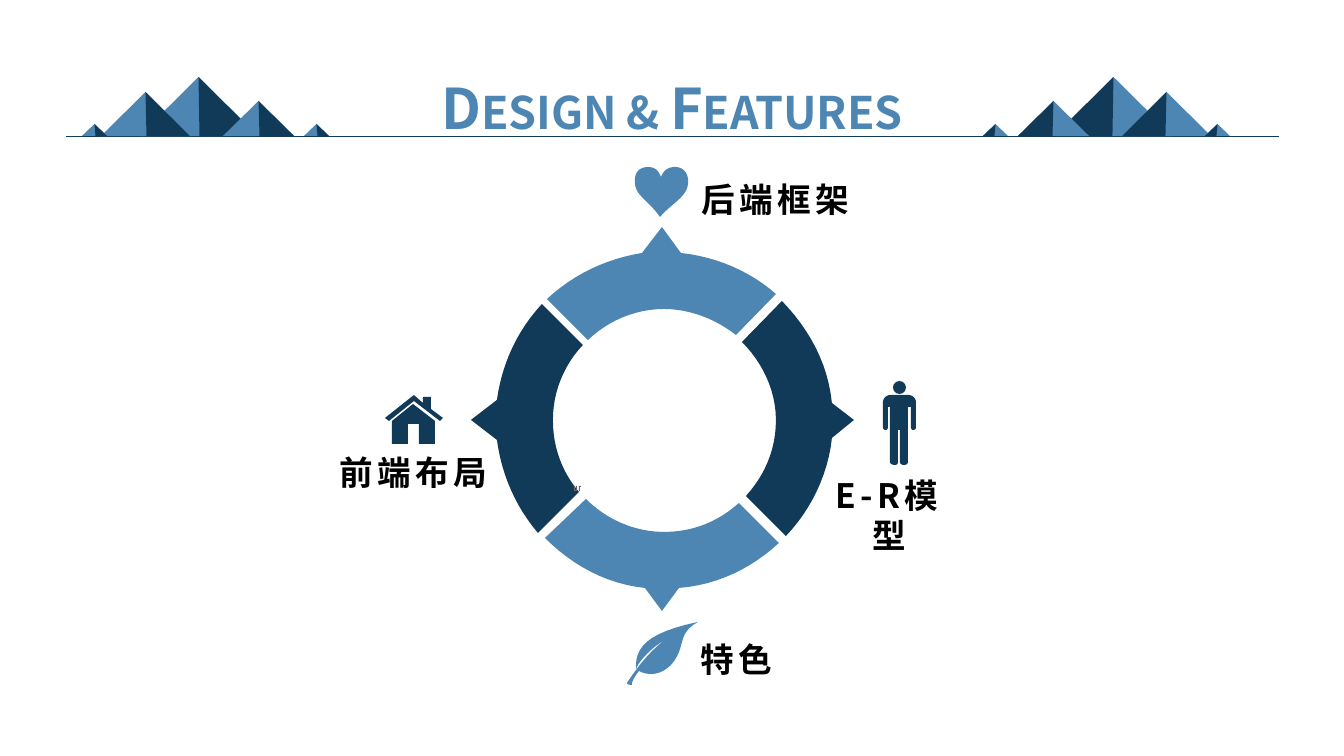
from lxml import etree
from pptx import Presentation
from pptx.dml.color import RGBColor
from pptx.enum.shapes import MSO_CONNECTOR, MSO_SHAPE
from pptx.enum.text import MSO_ANCHOR, PP_ALIGN
from pptx.oxml.ns import qn
from pptx.util import Pt

EMU_PER_PX = 914400 / 100.8
FONT = "Noto Sans CJK SC"
COLORS = {"light": "4D86B3", "dark": "113A59", "label": "000000", "speck": "666666"}
CURVE_STEPS = 12
BASELINE = 136
MIRROR_SUM = 1312

# Left foot, width and peak height of each mountain on the right.
MOUNTAINS = [(1054, 119, 77), (1018, 71, 101), (1122, 89, 92), (983, 25, 124), (1205, 25, 124)]

# Outlines: a pair is a corner, six numbers are a cubic curve.
RING = [
    ("light", [(586, 499), (545, 538), (572, 565, 606, 584, 645, 588), (662, 611), (679, 588),
               (718, 585, 752, 568, 779, 543), (739, 503), (719, 521, 694, 532, 664, 532),
               (634, 532, 606, 519, 586, 499)]),
    ("dark", [(832, 403), (828, 363, 809, 329, 782, 301), (742, 342),
              (762, 362, 776, 390, 776, 420), (776, 451, 764, 476, 746, 496), (786, 536),
              (810, 511, 828, 476, 832, 438), (854, 420)]),
    ("dark", [(497, 400), (471, 420), (497, 440), (502, 476, 516, 507, 538, 533), (579, 492),
              (563, 473, 553, 449, 553, 420), (553, 392, 564, 365, 583, 345), (542, 304),
              (517, 331, 502, 364, 497, 400)]),
    ("light", [(662, 227), (642, 253), (606, 259, 574, 274, 547, 299), (588, 340),
               (608, 321, 635, 309, 664, 309), (691, 309, 717, 320, 736, 335), (776, 294),
               (751, 272, 718, 257, 681, 253)]),
]
HOUSE_WALLS = [(413, 404), (392, 421), (392, 444), (408, 444), (408, 424), (419, 424),
               (419, 444), (435, 444), (435, 421)]
HOUSE_ROOF = [(431, 409), (431, 397), (423, 397), (423, 403), (414, 395), (385, 418),
              (389, 421), (414, 401), (440, 421), (443, 418)]
PERSON_BODY = [(908, 395), (891, 395), (885, 395, 883, 400, 883, 402), (883, 427),
               (883, 429, 884, 430, 886, 430), (887, 430, 888, 429, 888, 427), (888, 407),
               (890, 407), (890, 462), (890, 464, 893, 465, 895, 465),
               (897, 465, 898, 464, 898, 462), (898, 430), (900, 430), (900, 462),
               (900, 464, 902, 465, 904, 465), (906, 465, 908, 464, 908, 462), (908, 407),
               (911, 407), (911, 427), (911, 429, 912, 430, 913, 430),
               (915, 430, 916, 429, 916, 427), (916, 402), (916, 400, 914, 395, 908, 395)]
LEAF = [(627, 683), (627, 683, 627, 685, 632, 685), (631, 681, 639, 671, 639, 671),
        (639, 671, 655, 681, 671, 665), (687, 647, 676, 634, 698, 622),
        (646, 633, 635, 648, 636, 669), (640, 659, 654, 646, 665, 640),
        (646, 654, 633, 674, 627, 683)]
HEART = [(661, 177), (658, 170, 655, 167, 647, 167), (637, 168, 634, 175, 635, 184),
         (636, 196, 650, 202, 660, 217), (671, 204, 687, 197, 688, 184),
         (689, 175, 685, 168, 676, 167), (668, 167, 664, 170, 661, 177)]
SPECKS = [
    [(574, 486), (575, 486), (575, 490), (576, 490), (576, 486), (577, 486), (577, 491), (574, 491)],
    [(579, 486), (581, 486), (581, 487), (580, 487), (580, 491), (579, 491)],
]
ICONS = [("dark", HOUSE_WALLS), ("dark", HOUSE_ROOF), ("dark", PERSON_BODY),
         ("light", LEAF), ("light", HEART)]

# Text, box and whether the label wraps.
LABELS = [
    ("后端框架", (689, 174, 173, 50), False),
    ("前端布局", (327, 447, 173, 50), False),
    ("E-R模型", (819, 470, 140, 90), True),
    ("特色", (688, 634, 97, 50), False),
]


def px(value):
    return round(value * EMU_PER_PX)


def color(name):
    return RGBColor.from_string(COLORS[name])


def paint(shape, fill):
    shape.shadow.inherit = False
    shape.fill.solid()
    shape.fill.fore_color.rgb = color(fill)
    shape.line.fill.background()


def flatten(outline):
    """Turn corners and cubic curves into a list of points."""
    points = [outline[0]]
    for step in outline[1:]:
        if len(step) == 2:
            points.append(step)
            continue
        controls = [points[-1], step[:2], step[2:4], step[4:]]
        for index in range(1, CURVE_STEPS + 1):
            t = index / CURVE_STEPS
            weights = ((1 - t) ** 3, 3 * t * (1 - t) ** 2, 3 * t * t * (1 - t), t ** 3)
            points.append(tuple(sum(weight * point[axis] for weight, point in zip(weights, controls))
                                for axis in (0, 1)))
    return points


def add_outline(slide, outline, fill):
    points = [(px(x), px(y)) for x, y in flatten(outline)]
    builder = slide.shapes.build_freeform(*points[0], scale=1.0)
    builder.add_line_segments(points[1:], close=True)
    paint(builder.convert_to_shape(), fill)


def add_preset(slide, kind, box, fill):
    paint(slide.shapes.add_shape(kind, *map(px, box)), fill)


def add_mountain(slide, left, width, top, mirrored):
    """Draw a light triangle whose outer half is dark."""
    foot, peak, inset = left, left + width / 2, 1
    if mirrored:
        left = MIRROR_SUM - left - width
        foot, peak, inset = MIRROR_SUM - foot, MIRROR_SUM - peak, -1
    add_preset(slide, MSO_SHAPE.ISOSCELES_TRIANGLE, (left, top, width, BASELINE - top), "light")
    add_outline(slide, [(peak, top), (peak - inset, BASELINE), (foot, BASELINE)], "dark")


def add_baseline(slide):
    line = slide.shapes.add_connector(
        MSO_CONNECTOR.STRAIGHT, px(66), px(BASELINE), px(1279), px(BASELINE))
    line.line.color.rgb = color("dark")
    line.line.width = Pt(0.5)
    etree.SubElement(line._element.spPr, qn("a:effectLst"))


def add_text(slide, text, box, size, fill, wrap=False, **character_attributes):
    """Add centred bold text; extra attributes go to its character properties."""
    frame = slide.shapes.add_textbox(*map(px, box)).text_frame
    frame.word_wrap = wrap
    frame.vertical_anchor = MSO_ANCHOR.TOP
    paragraph = frame.paragraphs[0]
    paragraph.text = text
    paragraph.alignment = PP_ALIGN.CENTER
    font = paragraph.font
    font.name, font.size, font.bold = FONT, Pt(size), True
    font.color.rgb = color(fill)
    properties = paragraph._p.get_or_add_pPr().get_or_add_defRPr()
    etree.SubElement(properties, qn("a:ea"), typeface=FONT)
    for name, value in character_attributes.items():
        properties.set(name, value)


def main():
    presentation = Presentation()
    presentation.slide_width, presentation.slide_height = px(1344), px(756)
    slide = presentation.slides.add_slide(presentation.slide_layouts[6])

    add_text(slide, "Design & Features", (413, 69, 518, 75), 40, "light", cap="small")
    add_baseline(slide)
    for mirrored in (False, True):
        for mountain in MOUNTAINS:
            add_mountain(slide, *mountain, mirrored)
    for fill, outline in RING + ICONS:
        add_outline(slide, outline, fill)
    add_preset(slide, MSO_SHAPE.OVAL, (893, 381, 13, 13), "dark")
    for speck in SPECKS:
        add_outline(slide, speck, "speck")
    for text, box, wrap in LABELS:
        add_text(slide, text, box, 24, "label", wrap, spc="300")
    presentation.save("out.pptx")


if __name__ == "__main__":
    main()
